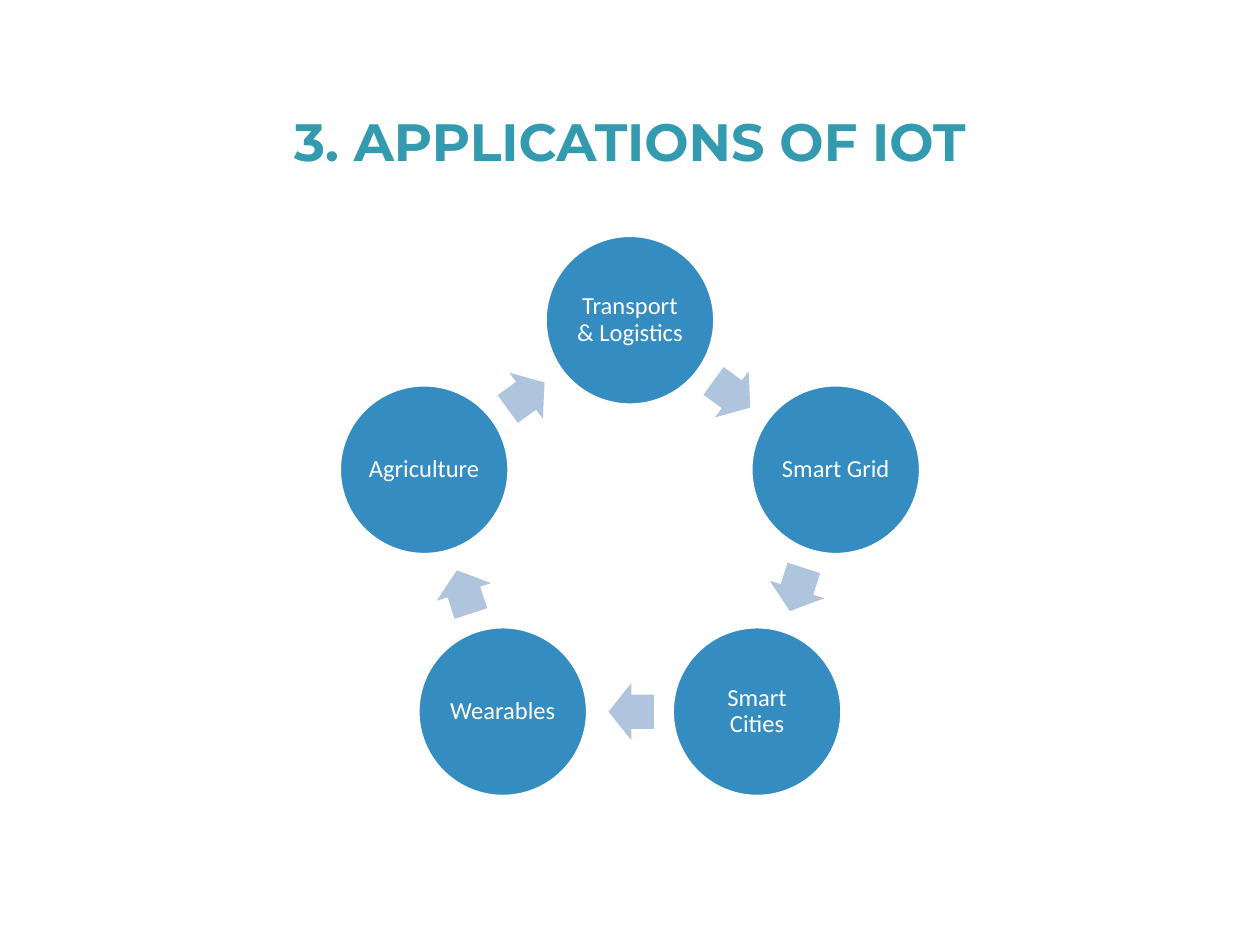
from dataclasses import dataclass
from math import cos, radians, sin

from pptx import Presentation
from pptx.dml.color import RGBColor
from pptx.enum.shapes import MSO_SHAPE
from pptx.enum.text import MSO_ANCHOR, MSO_AUTO_SIZE, PP_ALIGN
from pptx.util import Inches, Pt

OVAL, ARROW = MSO_SHAPE.OVAL, MSO_SHAPE.RIGHT_ARROW
MIDDLE, CENTER = MSO_ANCHOR.MIDDLE, PP_ALIGN.CENTER
NO_FIT = MSO_AUTO_SIZE.NONE
TITLE_ONLY = 5
WIDTH, HEIGHT = 10, 7.5


@dataclass(frozen=True)
class Theme:
    """Colours, fonts and type sizes of the slide."""
    title: str = "339AAF"
    node: str = "358CC1"
    arrow: str = "AEC5DD"
    light: str = "FFFFFF"
    title_font: str = "Montserrat"
    body_font: str = "Calibri"
    title_size: int = 30
    body_size: int = 14


THEME = Theme()
TOPICS = ["Transport & Logistics", "Smart Grid", "Smart Cities",
          "Wearables", "Agriculture"]


def write(tf, text, font, size, color, bold=False):
    """Write one centred line of styled text into a text frame."""
    tf.word_wrap = True
    tf.vertical_anchor = MIDDLE
    p = tf.paragraphs[0]
    p.alignment = CENTER
    r = p.add_run()
    r.text = text
    r.font.name, r.font.size, r.font.bold = font, Pt(size), bold
    r.font.color.rgb = RGBColor.from_string(color)
    return p


def add_title(s, box, text):
    """Place the title placeholder in its box."""
    sp = s.shapes.title
    sp.left, sp.top, sp.width, sp.height = (Inches(v) for v in box)
    sp.text_frame.auto_size = NO_FIT
    write(sp.text_frame, text, THEME.title_font, THEME.title_size,
          THEME.title, True)


def add_centred(s, kind, center, size, color):
    """Add a flat filled shape around a centre point."""
    (x, y), (w, h) = center, size
    sp = s.shapes.add_shape(kind, Inches(x - w / 2), Inches(y - h / 2),
                            Inches(w), Inches(h))
    sp.shadow.inherit = False
    sp.fill.solid()
    sp.fill.fore_color.rgb = RGBColor.from_string(color)
    return sp


def add_node(s, center, diameter, text):
    """Add one labelled circle of the cycle."""
    sp = add_centred(s, OVAL, center, (diameter, diameter), THEME.node)
    sp.line.color.rgb = RGBColor.from_string(THEME.light)
    sp.line.width = Pt(1)
    tf = sp.text_frame
    tf.margin_left = tf.margin_right = Inches(0.02)
    tf.margin_top = tf.margin_bottom = Inches(0.02)
    p = write(tf, text, THEME.body_font, THEME.body_size, THEME.light)
    p.line_spacing = 0.9


def add_arrow(s, center, size, angle):
    """Add one arrow turned along the cycle."""
    sp = add_centred(s, ARROW, center, size, THEME.arrow)
    sp.line.fill.background()
    sp.adjustments[0], sp.adjustments[1] = 0.6, 0.5
    sp.rotation = angle


def add_cycle(s, box, topics):
    """Spread circles clockwise round a ring, with arrows between them."""
    left, top, width, _ = box
    step = 360 / len(topics)
    diameter = width * 0.29
    radius = (width - diameter) / (2 * sin(radians(step)))
    cx, cy = left + width / 2, top + diameter / 2 + radius
    apothem = radius * cos(radians(step / 2))
    back = 0.01
    for i, topic in enumerate(topics):
        a = radians(i * step)
        add_node(s, (cx + radius * sin(a), cy - radius * cos(a)),
                 diameter, topic)
        turn = (i + 0.5) * step
        b = radians(turn)
        center = (cx + apothem * sin(b) - back * cos(b),
                  cy - apothem * cos(b) - back * sin(b))
        add_arrow(s, center, (diameter * 0.27, diameter * 0.34), turn)


def main():
    """Build and save the slide."""
    prs = Presentation()
    prs.slide_width, prs.slide_height = Inches(WIDTH), Inches(HEIGHT)
    s = prs.slides.add_slide(prs.slide_layouts[TITLE_ONLY])
    add_title(s, (WIDTH * 0.05, HEIGHT * 0.077, WIDTH * 0.9, HEIGHT * 0.144),
              "3. APPLICATIONS OF IOT")
    add_cycle(s, (WIDTH * 0.27, HEIGHT * 0.25, WIDTH * 0.46, HEIGHT * 0.6),
              TOPICS)
    prs.save("out.pptx")


if __name__ == "__main__":
    main()
